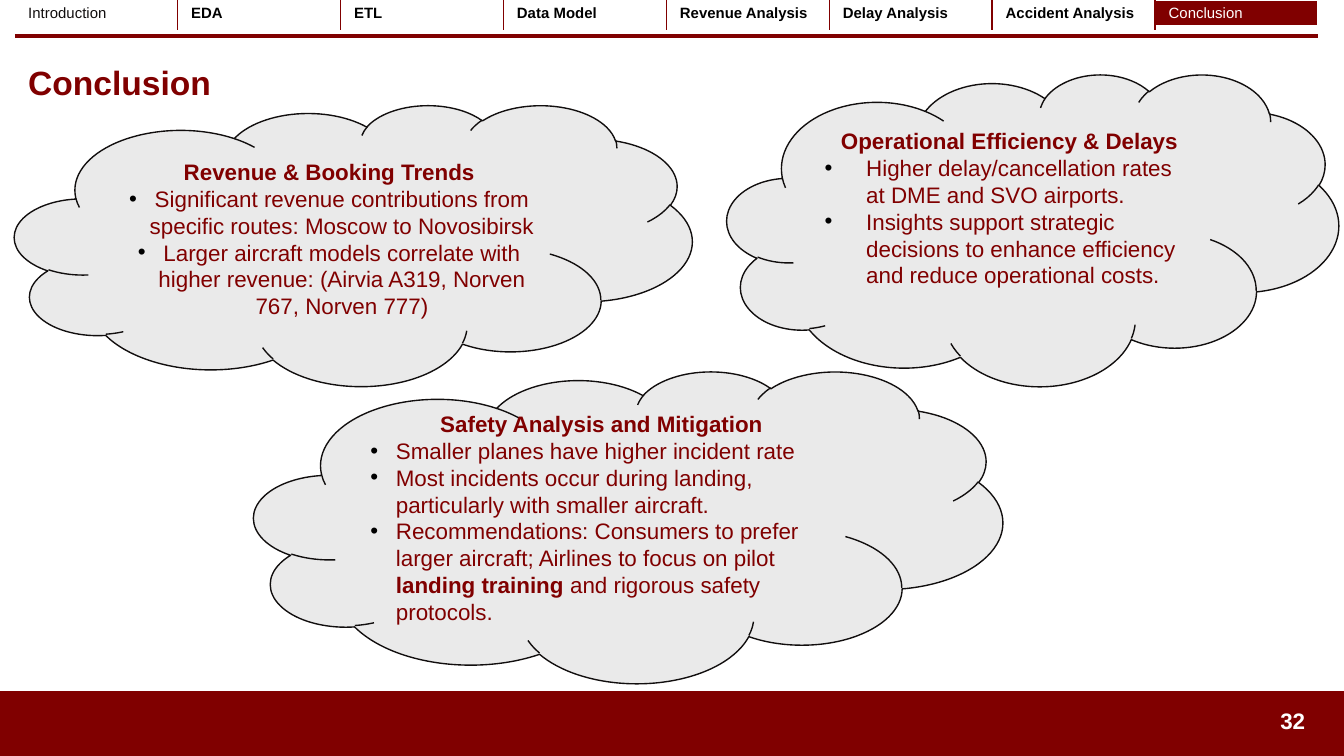
"""Build the conclusion slide: section navigation, three takeaway clouds and a footer."""
from lxml import etree
from pptx import Presentation
from pptx.dml.color import RGBColor
from pptx.enum.shapes import MSO_CONNECTOR, MSO_SHAPE
from pptx.enum.text import MSO_ANCHOR, MSO_AUTO_SIZE, PP_ALIGN
from pptx.oxml.ns import qn
from pptx.util import Inches, Pt

RECTANGLE, CLOUD = MSO_SHAPE.RECTANGLE, MSO_SHAPE.CLOUD
STRAIGHT = MSO_CONNECTOR.STRAIGHT
TOP, MIDDLE = MSO_ANCHOR.TOP, MSO_ANCHOR.MIDDLE
LEFT, CENTER, RIGHT = PP_ALIGN.LEFT, PP_ALIGN.CENTER, PP_ALIGN.RIGHT
NO_AUTOFIT = MSO_AUTO_SIZE.NONE

THEME = {
    "font": "Arial",
    "maroon": "800000", "white": "FFFFFF", "black": "000000",
    "ink": "110E0E", "cloud": "EAEAEA",
    "title": 18, "body": 12, "nav": 8,
}

SECTIONS = ["Introduction", "EDA", "ETL", "Data Model", "Revenue Analysis",
            "Delay Analysis", "Accident Analysis", "Conclusion"]

TAKEAWAYS = [
    {"box": (0.11, 0.78, 5.04, 2.09), "insets": (0.1, 0.1, 0.1), "indent": 0.19, "align": CENTER,
     "heading": "Revenue & Booking Trends",
     "points": [
         [("Significant revenue contributions from specific routes: Moscow to Novosibirsk", False)],
         [("Larger aircraft models correlate with higher revenue: "
           "(Airvia A319, Norven 767, Norven 777)", False)]]},
    {"box": (5.41, 0.55, 4.55, 2.32), "insets": (0.1, 0.12, 0.32), "indent": 0.31, "align": LEFT,
     "heading": "Operational Efficiency & Delays",
     "points": [
         [("Higher delay/cancellation rates at DME and SVO airports.", False)],
         [("Insights support strategic decisions to enhance efficiency "
           "and reduce operational costs.", False)]]},
    {"box": (1.89, 2.76, 5.57, 2.32), "insets": (0.23, 0.1, 0.26), "indent": 0.19, "align": LEFT,
     "heading": "Safety Analysis and Mitigation",
     "points": [
         [("Smaller planes have higher incident rate", False)],
         [("Most incidents occur during landing, particularly with smaller aircraft.", False)],
         [("Recommendations: Consumers to prefer larger aircraft; "
           "Airlines to focus on pilot ", False),
          ("landing training ", True),
          ("and rigorous safety protocols.", False)]]},
]


def color(name):
    return RGBColor.from_string(THEME[name])


def write(paragraph, text, size, ink, bold, align):
    paragraph.alignment = align
    run = paragraph.add_run()
    run.text = text
    style = {"name": THEME["font"], "size": Pt(THEME[size]), "bold": bold}
    for key, value in style.items():
        setattr(run.font, key, value)
    run.font.color.rgb = color(ink)


prs = Presentation()
prs.slide_width = Inches(10)
prs.slide_height = Inches(10 * 9 / 16)
slide = prs.slides.add_slide(prs.slide_layouts[5])

footer = slide.shapes.add_shape(RECTANGLE, 0, Inches(5.15), Inches(10), Inches(0.49))
footer.shadow.inherit = False
footer.fill.solid()
footer.fill.fore_color.rgb = color("maroon")
footer.line.color.rgb = color("maroon")
footer.line.width = Pt(1)

nav_rule = slide.shapes.add_connector(
    STRAIGHT, Inches(0.11), Inches(0.27), Inches(9.81), Inches(0.27))
nav_rule.line.color.rgb = color("maroon")
nav_rule.line.width = Pt(2)
etree.SubElement(nav_rule._element.spPr, qn("a:effectLst"))

title = slide.shapes.title
title_place = {"left": 0.11, "top": 0.31, "width": 9.7, "height": 0.6}
for key, value in title_place.items():
    setattr(title, key, Inches(value))
title_format = {"vertical_anchor": MIDDLE, "word_wrap": True, "auto_size": NO_AUTOFIT}
for key, value in title_format.items():
    setattr(title.text_frame, key, value)
write(title.text_frame.paragraphs[0], "Conclusion", "title", "maroon", True, LEFT)

page_number = slide.shapes.add_textbox(Inches(9.25), Inches(5.21), Inches(0.56), Inches(0.3))
page_number.text_frame.word_wrap = True
page_number.text_frame.vertical_anchor = MIDDLE
write(page_number.text_frame.paragraphs[0], "32", "body", "white", True, RIGHT)

for takeaway in TAKEAWAYS:
    cloud = slide.shapes.add_shape(CLOUD, *map(Inches, takeaway["box"]))
    cloud.shadow.inherit = False
    cloud.fill.solid()
    cloud.fill.fore_color.rgb = color("cloud")
    cloud.line.color.rgb = color("ink")
    cloud.line.width = Pt(0.75)
    inset_top, inset_right, inset_bottom = takeaway["insets"]
    frame_format = {
        "word_wrap": True, "vertical_anchor": MIDDLE,
        "margin_left": Inches(0.1), "margin_right": Inches(inset_right),
        "margin_top": Inches(inset_top), "margin_bottom": Inches(inset_bottom),
    }
    for key, value in frame_format.items():
        setattr(cloud.text_frame, key, value)
    write(cloud.text_frame.paragraphs[0], takeaway["heading"], "body", "maroon", True, CENTER)
    for point in takeaway["points"]:
        paragraph = cloud.text_frame.add_paragraph()
        properties = paragraph._p.get_or_add_pPr()
        indent = Inches(takeaway["indent"])
        properties.set("marL", str(indent))
        properties.set("indent", str(-indent))
        bullet_color = etree.SubElement(properties, qn("a:buClr"))
        etree.SubElement(bullet_color, qn("a:srgbClr"), val=THEME["black"])
        etree.SubElement(properties, qn("a:buFont"), typeface=THEME["font"])
        etree.SubElement(properties, qn("a:buChar"), char="•")
        for text, bold in point:
            write(paragraph, text, "body", "maroon", bold, takeaway["align"])

navigation = slide.shapes.add_table(
    1, len(SECTIONS), Inches(0.11), 0, Inches(9.7), Inches(0.18)).table
navigation.first_row = False
navigation.horz_banding = False
last = len(SECTIONS) - 1
for index, section in enumerate(SECTIONS):
    navigation.columns[index].width = Inches(9.7 / len(SECTIONS))
    cell = navigation.cell(0, index)
    cell_format = {
        "margin_left": Inches(0.1), "margin_right": Inches(0.1),
        "margin_top": Inches(0.04), "margin_bottom": Inches(0.03),
        "vertical_anchor": TOP,
    }
    for key, value in cell_format.items():
        setattr(cell, key, value)
    ink = {0: "ink", last: "white"}.get(index, "black")
    write(cell.text_frame.paragraphs[0], section, "nav", ink, 0 < index < last, LEFT)
    borders = {
        "a:lnL": ("white" if index == 0 else "maroon", 1),
        "a:lnR": ("white" if index == last else "maroon", 1),
        "a:lnT": ("white", 1),
        "a:lnB": ("white", 3),
    }
    for tag, (shade, width) in borders.items():
        border = etree.SubElement(cell._tc.get_or_add_tcPr(), qn(tag), w=str(Pt(width)))
        border_fill = etree.SubElement(border, qn("a:solidFill"))
        etree.SubElement(border_fill, qn("a:srgbClr"), val=THEME[shade])
    cell.fill.solid()
    cell.fill.fore_color.rgb = color("maroon" if index == last else "white")

prs.save("out.pptx")
